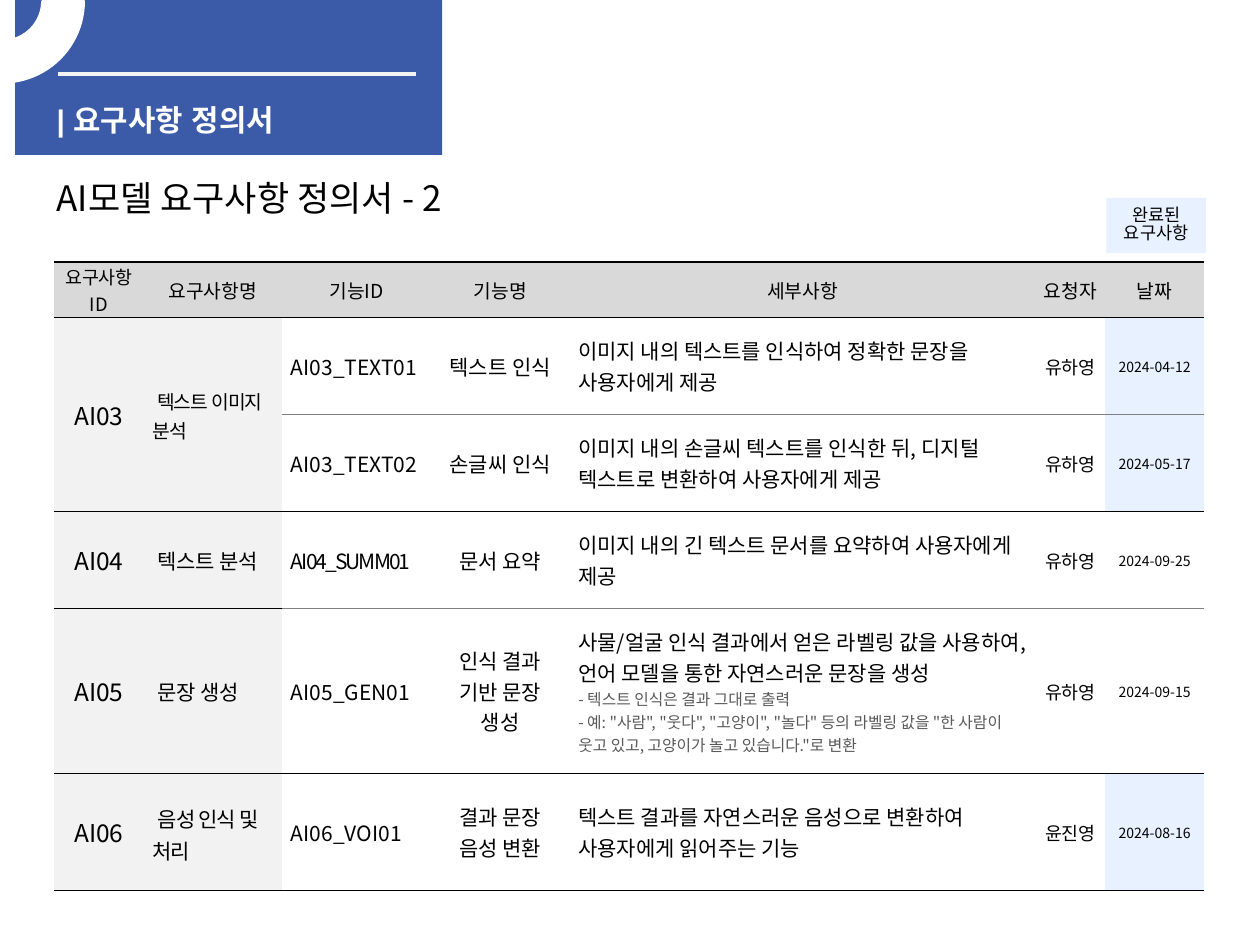
from lxml.etree import SubElement
from pptx import Presentation
from pptx.dml.color import RGBColor
from pptx.enum.shapes import MSO_CONNECTOR, MSO_SHAPE
from pptx.enum.text import MSO_ANCHOR, PP_ALIGN
from pptx.oxml.ns import qn
from pptx.util import Inches, Pt

BLUE = RGBColor(0x3B, 0x5A, 0xA8)
PALE = RGBColor(0xE7, 0xF1, 0xFF)
WHITE = RGBColor(0xFF, 0xFF, 0xFF)
BLACK = RGBColor(0, 0, 0)
GREY = RGBColor(0x80, 0x80, 0x80)
DARK = RGBColor(0x59, 0x59, 0x59)
HEAD = RGBColor(0xD9, 0xD9, 0xD9)
SIDE = RGBColor(0xF2, 0xF2, 0xF2)
SANS = "Noto Sans CJK KR"
PLAIN = "{2D5ABB26-0587-4C30-8999-92F81FD0307C}"

COLS = [0.71, 1.1, 1.18, 1.1, 3.7, 0.55, 0.79]
ROWS = [0.35, 0.77, 0.77, 0.77, 0.77, 0.93]
SIZES = [14, 12, 12, 12, 12, 10.5, 8]
MIDDLE = {0, 3, 5, 6}
DONE = {1, 2, 5}
EDGES = [(BLACK, 1), (BLACK, 1), (GREY, 0.5), (BLACK, 0.5),
         (GREY, 0.5), (BLACK, 0.5), (BLACK, 1)]

HEADS = ["요구사항ID", "요구사항명", "기능ID", "기능명", "세부사항", "요청자", "날짜"]
NAME3 = [[(" ", 12, BLACK, -0.5), ("텍스트 이미지 분석", 11, BLACK, -0.5)]]
NAME6 = [[(" ", 14), ("음성 인식 및 처리", 12, BLACK, -0.5)]]
SUMM = [[("AI04_SUMM01", 12, BLACK, -1.1)]]
NOTE = [
    [("사물/얼굴 인식 결과에서 얻은 라벨링 값을 사용하여, 언어 모델을 통한 자연스러운 문장을 생성", 12)],
    [("- 텍스트 인식은 결과 그대로 출력\n"
      "- 예: \"사람\", \"웃다\", \"고양이\", \"놀다\" 등의 라벨링 값을 "
      "\"한 사람이 웃고 있고, 고양이가 놀고 있습니다.\"로 변환", 9, DARK)],
]
DATA = [
    ["AI03", NAME3, "AI03_TEXT01", "텍스트 인식",
     "이미지 내의 텍스트를 인식하여 정확한 문장을 사용자에게 제공", "유하영", "2024-04-12"],
    [None, None, "AI03_TEXT02", "손글씨 인식",
     "이미지 내의 손글씨 텍스트를 인식한 뒤, 디지털 텍스트로 변환하여 사용자에게 제공",
     "유하영", "2024-05-17"],
    ["AI04", " 텍스트 분석", SUMM, "문서 요약",
     "이미지 내의 긴 텍스트 문서를 요약하여 사용자에게 제공", "유하영", "2024-09-25"],
    ["AI05", " 문장 생성", "AI05_GEN01", "인식 결과 기반 문장 생성", NOTE,
     "유하영", "2024-09-15"],
    ["AI06", NAME6, "AI06_VOI01", "결과 문장 음성 변환",
     "텍스트 결과를 자연스러운 음성으로 변환하여 사용자에게 읽어주는 기능",
     "윤진영", "2024-08-16"],
]


class Deck:
    def __init__(self):
        self.prs = Presentation()
        self.prs.slide_width, self.prs.slide_height = Inches(10), Inches(7.5)
        self.slide = self.prs.slides.add_slide(self.prs.slide_layouts[5])
        self.shapes = self.slide.shapes

    def add_run(self, para, text, size, color=BLACK, gap=0, face=SANS, bold=False):
        for i, line in enumerate(text.split("\n")):
            if i:
                para.add_line_break()
            run = para.add_run()
            run.text = line
            font = run.font
            font.size, font.bold, font.name = Pt(size), bold, face
            font.color.rgb = color
            props = run._r.get_or_add_rPr()
            SubElement(props, qn("a:ea")).set("typeface", face)
            if gap:
                props.set("spc", str(round(gap * 100)))

    def add_text(self, frame, paras, align=PP_ALIGN.LEFT):
        frame.word_wrap = True
        for i, runs in enumerate(paras):
            para = frame.add_paragraph() if i else frame.paragraphs[0]
            para.alignment = align
            for item in runs:
                self.add_run(para, *item)

    def title(self, text, box):
        shape = self.shapes.title
        self.shapes._spTree.append(shape._element)
        shape.left, shape.top, shape.width, shape.height = map(Inches, box)
        shape.text_frame.vertical_anchor = MSO_ANCHOR.TOP
        self.add_text(shape.text_frame, [[(text, 17, WHITE, 0, "Arial", True)]])

    def label(self, text, size, box):
        shape = self.shapes.add_textbox(*map(Inches, box))
        self.add_text(shape.text_frame, [[(text, size)]])

    def block(self, kind, fill, box):
        shape = self.shapes.add_shape(kind, *map(Inches, box))
        shape.shadow.inherit = False
        shape.fill.solid()
        shape.fill.fore_color.rgb = fill
        shape.line.fill.background()
        return shape

    def arc(self, box):
        shape = self.block(MSO_SHAPE.BLOCK_ARC, WHITE, box)
        shape.line.color.rgb = WHITE
        shape.line.width = Pt(2)
        for i, value in enumerate((96.95, 0, 0.25)):
            shape.adjustments[i] = value
        shape._element.spPr.find(qn("a:xfrm")).set("flipV", "1")

    def tag(self, text, box):
        shape = self.block(MSO_SHAPE.RECTANGLE, PALE, box)
        frame = shape.text_frame
        frame.vertical_anchor = MSO_ANCHOR.MIDDLE
        self.add_text(frame, [[(text, 10)]], PP_ALIGN.CENTER)
        frame.paragraphs[0].line_spacing = 0.85

    def rule(self, x1, x2, y):
        line = self.shapes.add_connector(
            MSO_CONNECTOR.STRAIGHT, Inches(x1), Inches(y), Inches(x2), Inches(y))
        line.line.color.rgb = SIDE
        line.line.width = Pt(2.25)
        SubElement(line._element.spPr, qn("a:effectLst"))

    def edge(self, cell, side, color, width):
        line = SubElement(cell._tc.get_or_add_tcPr(), qn("a:" + side))
        line.set("w", str(Pt(width)))
        fill = SubElement(line, qn("a:solidFill"))
        SubElement(fill, qn("a:srgbClr")).set("val", str(color))

    def cell(self, cell, paras, mid, fill, pad, top, base):
        cell.vertical_anchor = MSO_ANCHOR.MIDDLE
        cell.margin_left = cell.margin_right = Inches(pad[0])
        cell.margin_top = cell.margin_bottom = Inches(pad[1])
        self.edge(cell, "lnT", *top)
        self.edge(cell, "lnB", *base)
        if fill is None:
            cell.fill.background()
        else:
            cell.fill.solid()
            cell.fill.fore_color.rgb = fill
        self.add_text(cell.text_frame, paras, PP_ALIGN.CENTER if mid else PP_ALIGN.LEFT)

    def table(self, left, top):
        table = self.shapes.add_table(
            len(ROWS), len(COLS), Inches(left), Inches(top),
            Inches(sum(COLS)), Inches(sum(ROWS))).table
        table.first_row = table.horz_banding = False
        table._tbl.tblPr.find(qn("a:tableStyleId")).text = PLAIN
        for col, width in zip(table.columns, COLS):
            col.width = Inches(width)
        for row, height in zip(table.rows, ROWS):
            row.height = Inches(height)
        for c, text in enumerate(HEADS):
            self.cell(table.cell(0, c), [[(text, 11 if c else 10.5)]], True,
                      HEAD, (0.05, 0.01), EDGES[0], EDGES[1])
        for c in (0, 1):
            table.cell(1, c).merge(table.cell(2, c))
        for r, row in enumerate(DATA, 1):
            for c, item in enumerate(row):
                if item is None:
                    continue
                spot = table.cell(r, c)
                end = r + (spot.span_height if spot.is_merge_origin else 1)
                upper, base = EDGES[r], EDGES[end]
                fill = PALE if c == 6 and r in DONE else None
                if c < 2:
                    fill = SIDE
                    upper, base = (BLACK, upper[1]), (BLACK, base[1])
                paras = [[(item, SIZES[c])]] if isinstance(item, str) else item
                self.cell(spot, paras, c in MIDDLE, fill, (0.07, 0.02), upper, base)
                if end > r + 1:
                    self.edge(table.cell(end - 1, c), "lnB", *base)


def main():
    deck = Deck()
    deck.block(MSO_SHAPE.RECTANGLE, BLUE, (0.12, 0, 3.39, 1.23))
    deck.title("| 요구사항 정의서", (0.35, 0.76, 3.23, 0.3))
    deck.arc((-0.63, -0.63, 1.29, 1.28))
    deck.rule(0.46, 3.3, 0.59)
    deck.table(0.43, 2.08)
    deck.label("AI모델 요구사항 정의서 - 2", 20, (0.35, 1.35, 3.46, 0.44))
    deck.tag("완료된 요구사항", (8.78, 1.57, 0.79, 0.44))
    deck.prs.save("out.pptx")


if __name__ == "__main__":
    main()
